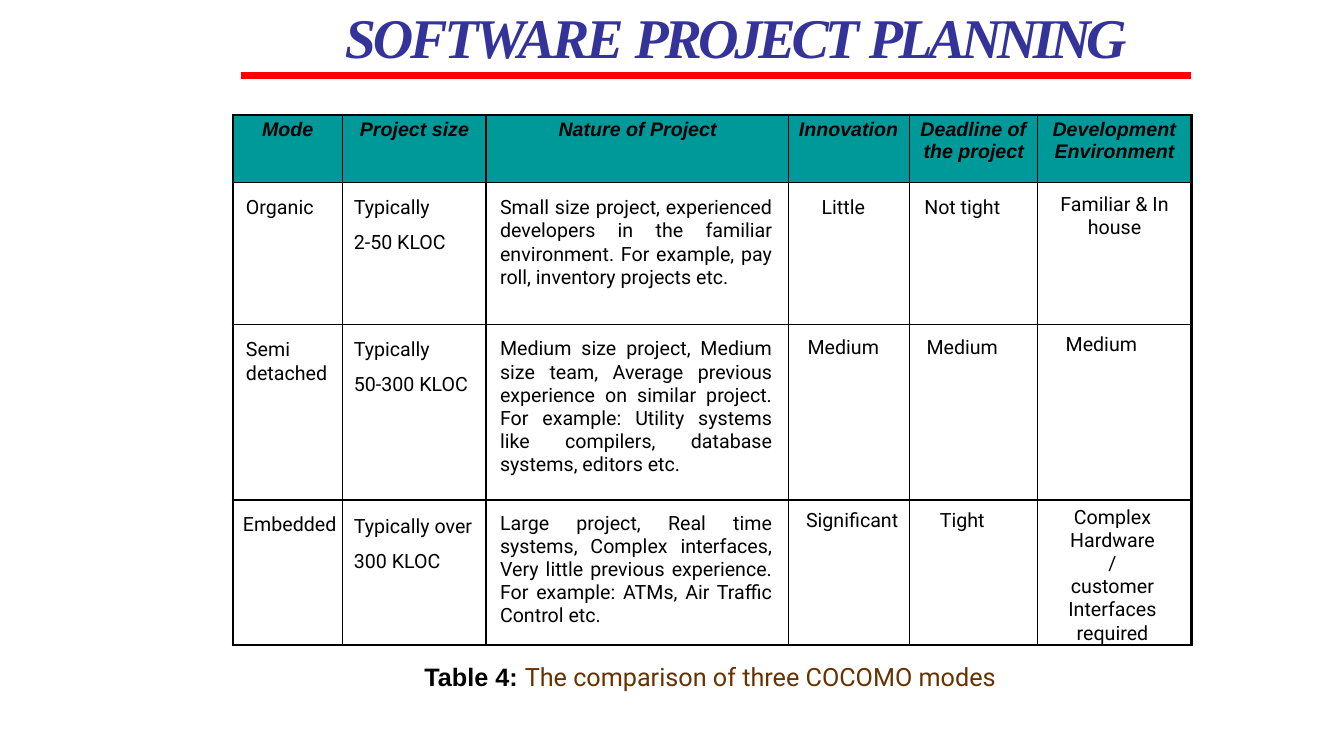
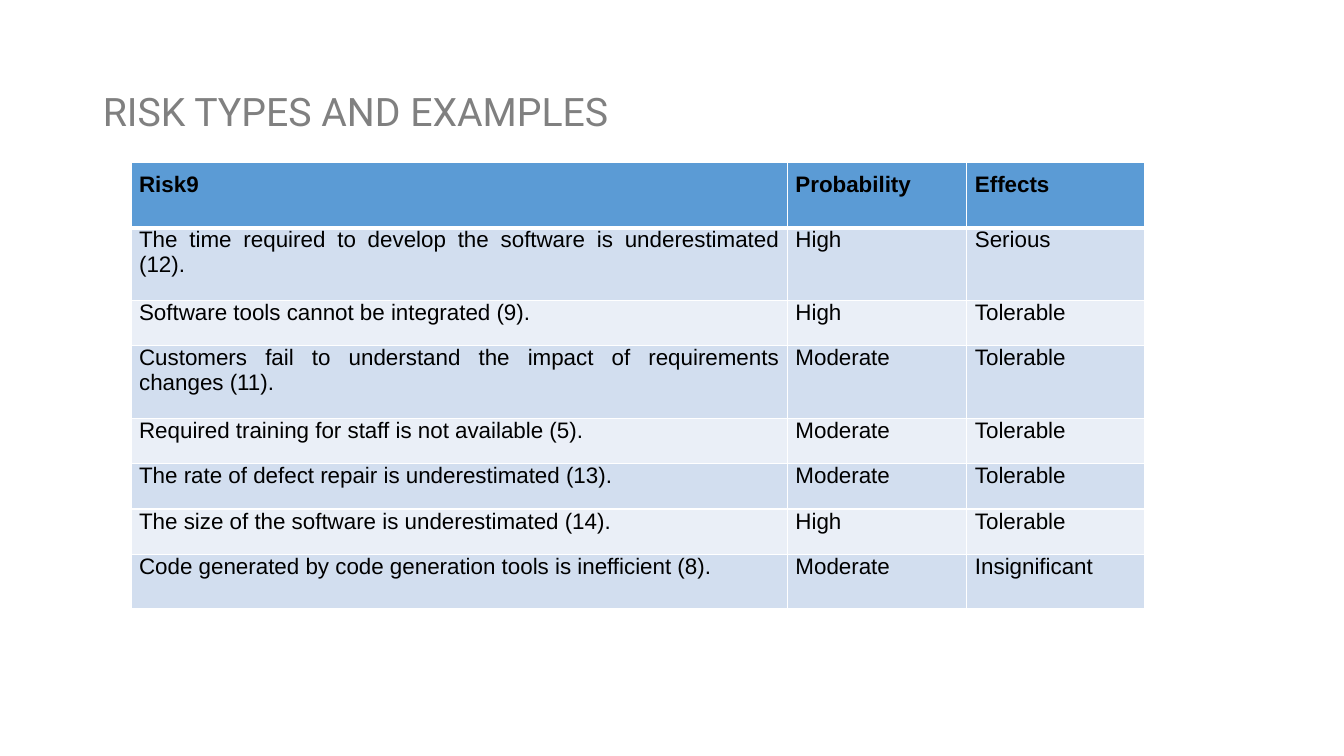
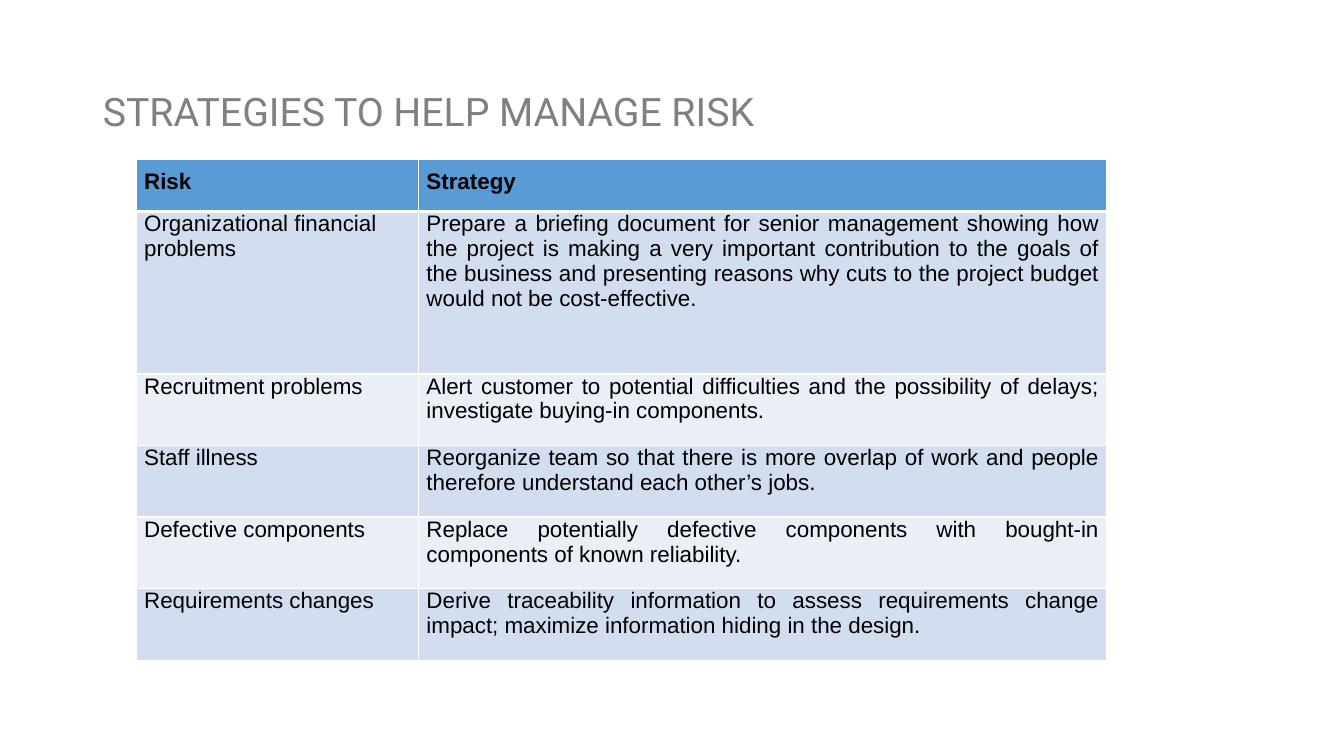
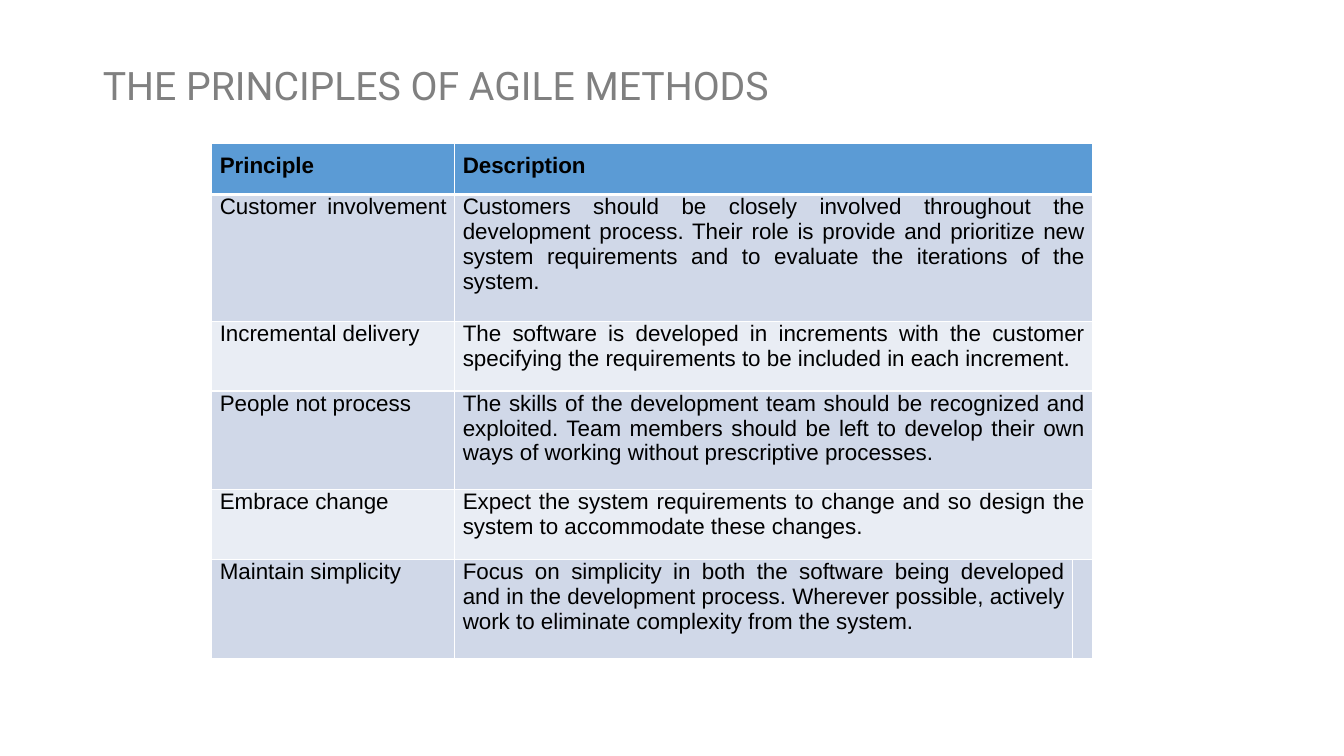
"""Build four slides of software project planning tables."""
from dataclasses import dataclass

from lxml import etree
from pptx import Presentation
from pptx import util as u
from pptx.dml.color import RGBColor
from pptx.enum import shapes, text
from pptx.oxml import ns

BLACK = RGBColor(0x00, 0x00, 0x00)
WHITE = RGBColor(0xFF, 0xFF, 0xFF)
RED = RGBColor(0xFF, 0x00, 0x00)
INDIGO = RGBColor(0x33, 0x33, 0x99)
TEAL = RGBColor(0x00, 0x99, 0x99)
BROWN = RGBColor(0x66, 0x33, 0x00)
GRAY = RGBColor(0x80, 0x80, 0x80)
BLUE = RGBColor(0x5B, 0x9B, 0xD5)
BANDS = (RGBColor(0xD2, 0xDE, 0xEF), RGBColor(0xEA, 0xEF, 0xF7))
AGILE_BANDS = (RGBColor(0xD0, 0xD8, 0xE8), RGBColor(0xE9, 0xED, 0xF4))

LEFT, CENTER = text.PP_ALIGN.LEFT, text.PP_ALIGN.CENTER
RIGHT, JUSTIFY = text.PP_ALIGN.RIGHT, text.PP_ALIGN.JUSTIFY
SIDES = ("L", "R", "T", "B")


@dataclass
class Cell:
    """Text of a mode table cell with its own insets."""
    words: str
    top: float = 0.14
    left: float = 0
    right: float = 0
    align: text.PP_ALIGN = LEFT
    indent: float = 0
    spacing: float = 0


@dataclass
class Grid:
    """A banded table with its title."""
    title: str
    title_box: tuple[float, ...]
    origin: tuple[float, float]
    cols: tuple[float, ...]
    heights: tuple[float, ...]
    rows: list[tuple[str, ...]]
    bands: tuple[RGBColor, RGBColor] = BANDS
    first_align: text.PP_ALIGN = JUSTIFY


MODES = [
    [Cell("Mode", 0.04, 0.29), Cell("Project size", 0.04, 0.17),
     Cell("Nature of Project", 0.04, 0.72),
     Cell("Innovation", 0.04, right=0.11, align=RIGHT),
     Cell("Deadline of the project", 0.04, 0.14, indent=-0.03),
     Cell("Development Environment", 0.04, 0.17, indent=-0.02)],
    [Cell("Organic", left=0.13), Cell("Typically\n2-50 KLOC", left=0.11),
     Cell("Small size project, experienced developers in the familiar "
          "environment. For example, pay roll, inventory projects etc.",
          0.14, 0.14, 0.16, JUSTIFY),
     Cell("Little", left=0.33),
     Cell("Not tight", right=0.22, align=CENTER),
     Cell("Familiar & In house", 0.11, align=CENTER)],
    [Cell("Semi detached", left=0.13),
     Cell("Typically\n50-300 KLOC", left=0.11),
     Cell("Medium size project, Medium size team, Average previous "
          "experience on similar project. For example: Utility systems "
          "like compilers, database systems, editors etc.",
          0.13, 0.14, 0.16, JUSTIFY),
     Cell("Medium", 0.12, 0.19),
     Cell("Medium", 0.12, right=0.22, align=CENTER),
     Cell("Medium", 0.09, 0.28)],
    [Cell("Embedded", 0.13, 0.1),
     Cell("Typically over 300 KLOC", 0.03, 0.11, spacing=25.2),
     Cell("Large project, Real time systems, Complex interfaces, Very "
          "little previous experience. For example: ATMs, Air Traffic "
          "Control etc.", 0.12, 0.14, 0.16, JUSTIFY),
     Cell("Significant", 0.09, right=0.11, align=RIGHT),
     Cell("Tight", 0.09, right=0.22, align=CENTER),
     Cell("Complex Hardware/ customer Interfaces required",
          0.06, 0.3, 0.34, CENTER)],
]

GRIDS = [
    Grid("RISK TYPES AND EXAMPLES", (0.92, 0.4, 11.5, 1.45), (1.3, 1.61),
         (6.51, 1.78, 1.76),
         (0.65, 0.72, 0.45, 0.72, 0.45, 0.45, 0.45, 0.54),
         [("Risk9", "Probability", "Effects"),
          ("The time required to develop the software is underestimated "
           "(12).", "High", "Serious"),
          ("Software tools cannot be integrated (9).", "High", "Tolerable"),
          ("Customers fail to understand the impact of requirements changes "
           "(11).", "Moderate", "Tolerable"),
          ("Required training for staff is not available (5).",
           "Moderate", "Tolerable"),
          ("The rate of defect repair is underestimated (13).",
           "Moderate", "Tolerable"),
          ("The size of the software is underestimated (14).",
           "High", "Tolerable"),
          ("Code generated by code generation tools is inefficient (8).",
           "Moderate", "Insignificant")]),
    Grid("STRATEGIES TO HELP MANAGE RISK", (0.92, 0.4, 11.5, 1.45),
         (1.35, 1.58), (2.8, 6.83), (0.52, 1.61, 0.71, 0.71, 0.71, 0.71),
         [("Risk", "Strategy"),
          ("Organizational financial problems",
           "Prepare a briefing document for senior management showing how "
           "the project is making a very important contribution to the goals "
           "of the business and presenting reasons why cuts to the project "
           "budget would not be cost-effective."),
          ("Recruitment problems",
           "Alert customer to potential difficulties and the possibility of "
           "delays; investigate buying-in components."),
          ("Staff illness",
           "Reorganize team so that there is more overlap of work and people "
           "therefore understand each other’s jobs."),
          ("Defective components",
           "Replace potentially defective components with bought-in "
           "components of known reliability."),
          ("Requirements changes",
           "Derive traceability information to assess requirements change "
           "impact; maximize information hiding in the design.")],
         first_align=LEFT),
    Grid("THE PRINCIPLES OF AGILE METHODS", (0.92, 0.4, 10.95, 0.95),
         (2.1, 1.42), (2.41, 6.13, 0.13),
         (0.51, 1.26, 0.69, 0.98, 0.69, 0.98),
         [("Principle", "Description"),
          ("Customer involvement ",
           "Customers should be closely involved throughout the development "
           "process. Their role is provide and prioritize new system "
           "requirements and to evaluate the iterations of the system."),
          ("Incremental delivery",
           "The software is developed in increments with the customer "
           "specifying the requirements to be included in each increment."),
          ("People not process",
           "The skills of the development team should be recognized and "
           "exploited. Team members should be left to develop their own ways "
           "of working without prescriptive processes."),
          ("Embrace change",
           "Expect the system requirements to change and so design the "
           "system to accommodate these changes."),
          ("Maintain simplicity",
           "Focus on simplicity in both the software being developed and in "
           "the development process. Wherever possible, actively work to "
           "eliminate complexity from the system.", "")],
         AGILE_BANDS),
]


def add_run(p, words: str, *, size: float, font: str = "Roboto",
            color: RGBColor = BLACK, bold: bool = False,
            italic: bool = False, tracking: float = 0) -> None:
    """Add a formatted run to a paragraph."""
    r = p.add_run()
    r.text = words
    r.font.size, r.font.name = u.Pt(size), font
    r.font.bold, r.font.italic = bold, italic
    r.font.color.rgb = color
    if tracking:
        r.font._element.set("spc", str(round(tracking * 100)))


def set_indent(p, left: float, right: float = 0, first: float = 0) -> None:
    """Set paragraph margins and first-line indent in inches."""
    pr = p._p.get_or_add_pPr()
    for name, value in (("marL", left), ("marR", right), ("indent", first)):
        pr.set(name, str(u.Inches(value)))


def set_insets(box, left: float, top: float, right: float,
               bottom: float) -> None:
    """Set the inner margins of a cell or text frame."""
    box.margin_left, box.margin_top = u.Inches(left), u.Inches(top)
    box.margin_right, box.margin_bottom = u.Inches(right), u.Inches(bottom)


def set_borders(cell, color: RGBColor, widths: tuple[float, ...]) -> None:
    """Draw the left, right, top and bottom borders of a cell."""
    pr = cell._tc.get_or_add_tcPr()
    for i, (side, width) in enumerate(zip(SIDES, widths)):
        ln = etree.Element(ns.qn(f"a:ln{side}"), w=str(u.Pt(width)))
        fill = etree.SubElement(ln, ns.qn("a:solidFill"))
        etree.SubElement(fill, ns.qn("a:srgbClr"), val=str(color))
        pr.insert(i, ln)


def add_title(s, box: tuple[float, ...]):
    """Place the title placeholder and return its text frame."""
    sp = s.shapes.title
    sp.left, sp.top, sp.width, sp.height = map(u.Inches, box)
    tf = sp.text_frame
    tf.word_wrap, tf.auto_size = True, text.MSO_AUTO_SIZE.NONE
    tf.vertical_anchor = text.MSO_ANCHOR.MIDDLE
    tf.paragraphs[0].alignment = LEFT
    return tf


def add_table(s, origin: tuple[float, float], cols: tuple[float, ...],
              heights: tuple[float, ...]):
    """Add a table without banding and size its grid."""
    table = s.shapes.add_table(
        len(heights), len(cols), *map(u.Inches, origin),
        u.Inches(sum(cols)), u.Inches(sum(heights))).table
    table.first_row = table.horz_banding = False
    for col, width in zip(table.columns, cols):
        col.width = u.Inches(width)
    for row, height in zip(table.rows, heights):
        row.height = u.Inches(height)
    return table


def fill_mode_cell(cell, item: Cell, header: bool) -> None:
    """Write one cell of the mode table."""
    set_insets(cell, 0, item.top, 0, 0)
    if header:
        cell.fill.solid()
        cell.fill.fore_color.rgb = TEAL
    else:
        cell.fill.background()
    tf = cell.text_frame
    for i, line in enumerate(item.words.split("\n")):
        p = tf.add_paragraph() if i else tf.paragraphs[0]
        set_indent(p, item.left, item.right, item.indent)
        p.alignment = item.align
        if i:
            p.space_before = u.Pt(8.4)
        if item.spacing:
            p.line_spacing = u.Pt(item.spacing)
        add_run(p, line, size=14, font="Arial" if header else "Roboto",
                bold=header, italic=header)


def add_modes_slide(prs) -> None:
    """Add the comparison of the project modes."""
    s = prs.slides.add_slide(prs.slide_layouts[5])
    tf = add_title(s, (2.86, -0.26, 11.5, 0.96))
    set_insets(tf, 0, 0.28, 0, 0)
    p = tf.paragraphs[0]
    set_indent(p, 0.56)
    for word, tracking in (("SOFTWARE ", -2.2), ("PROJECT ", -2.9),
                           ("PLANNING", -3.2)):
        add_run(p, word, size=40, font="Times New Roman", color=INDIGO,
                bold=True, italic=True, tracking=tracking)

    rule = s.shapes.add_connector(
        shapes.MSO_CONNECTOR.STRAIGHT,
        *map(u.Inches, (2.39, 0.75, 11.81, 0.75)))
    rule.line.color.rgb, rule.line.width = RED, u.Pt(4.5)
    etree.SubElement(rule._element.spPr, ns.qn("a:effectLst"))

    table = add_table(s, (2.31, 1.14), (1.09, 1.42, 3, 1.2, 1.27, 1.53),
                      (0.67, 1.41, 1.74, 1.41))
    for i, row in enumerate(MODES):
        for j, item in enumerate(row):
            cell = table.cell(i, j)
            fill_mode_cell(cell, item, i == 0)
            outer = (j == 0, j == len(row) - 1, i == 0, i == len(MODES) - 1)
            set_borders(cell, BLACK, tuple(2.25 if o else 1 for o in outer))

    tf = s.shapes.add_textbox(
        *map(u.Inches, (4.2, 6.55, 5.77, 0.33))).text_frame
    tf.word_wrap = True
    set_insets(tf, 0, 0.01, 0, 0)
    p = tf.paragraphs[0]
    set_indent(p, 0.01)
    add_run(p, "Table 4: ", size=18, font="Arial", bold=True)
    add_run(p, "The comparison of three COCOMO modes", size=18, color=BROWN)


def add_grid_slide(prs, grid: Grid) -> None:
    """Add a titled slide with a banded table."""
    s = prs.slides.add_slide(prs.slide_layouts[5])
    p = add_title(s, grid.title_box).paragraphs[0]
    p.line_spacing = 0.9
    add_run(p, grid.title, size=28, color=GRAY)

    table = add_table(s, grid.origin, grid.cols, grid.heights)
    last = len(grid.cols) - 1
    for i, row in enumerate(grid.rows):
        header = i == 0
        if len(row) <= last:
            table.cell(i, len(row) - 1).merge(table.cell(i, last))
        for j, words in enumerate(row):
            cell = table.cell(i, j)
            set_insets(cell, 0.08, 0.1 if header else 0, 0.08, 0.1)
            cell.fill.solid()
            cell.fill.fore_color.rgb = (
                BLUE if header else grid.bands[(i - 1) % 2])
            set_borders(cell, WHITE,
                        (1, 1, 3 if i == 1 else 1, 3 if header else 1))
            if words:
                p = cell.text_frame.paragraphs[0]
                p.alignment = JUSTIFY if j or header else grid.first_align
                add_run(p, words, size=16, font="Arial", bold=header)


def main() -> None:
    """Build and save the presentation."""
    prs = Presentation()
    prs.slide_width, prs.slide_height = u.Inches(13.33), u.Inches(7.5)
    add_modes_slide(prs)
    for grid in GRIDS:
        add_grid_slide(prs, grid)
    prs.save("out.pptx")


if __name__ == "__main__":
    main()
